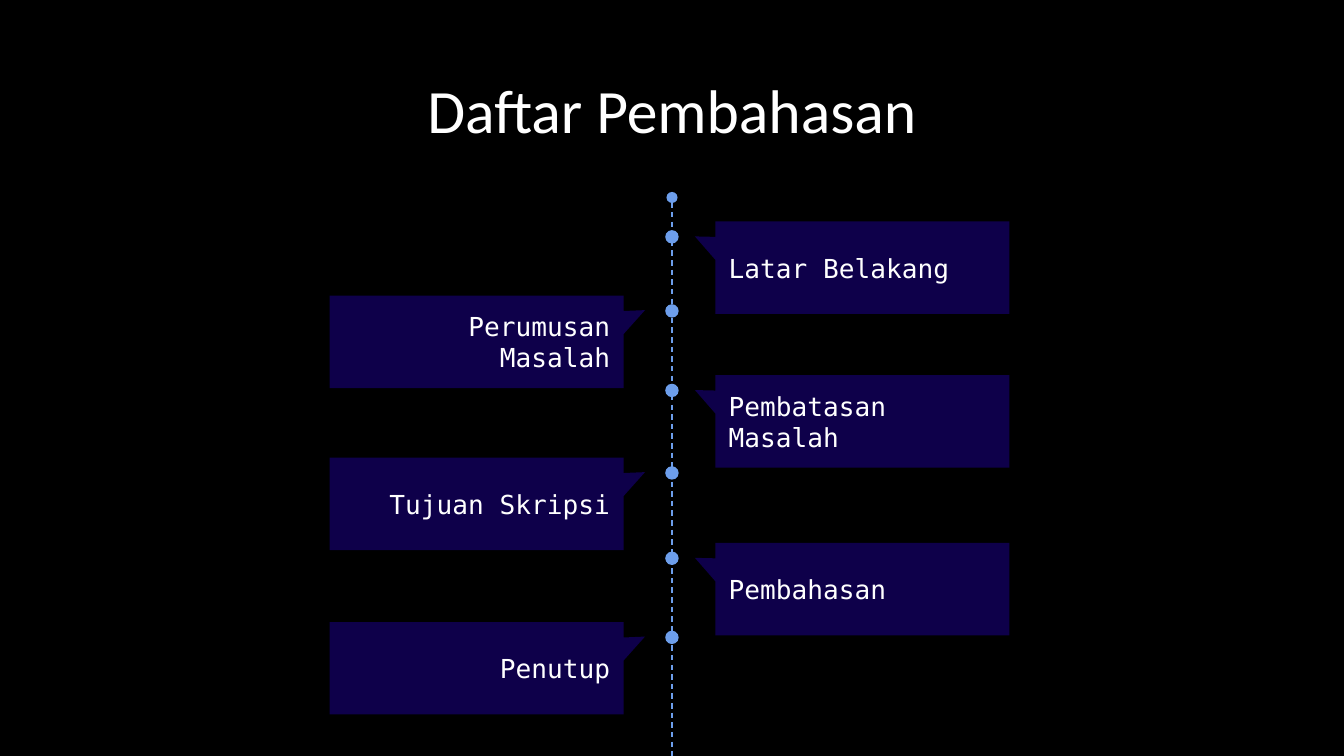
from dataclasses import dataclass

from lxml import etree
from pptx import Presentation
from pptx.dml.color import RGBColor
from pptx.enum.dml import MSO_LINE
from pptx.enum.shapes import MSO_CONNECTOR, MSO_SHAPE
from pptx.enum.text import MSO_ANCHOR, PP_ALIGN
from pptx.oxml.ns import qn
from pptx.util import Pt

DASH = MSO_LINE.DASH
STRAIGHT = MSO_CONNECTOR.STRAIGHT
CALLOUT, OVAL = MSO_SHAPE.RECTANGULAR_CALLOUT, MSO_SHAPE.OVAL
MIDDLE = MSO_ANCHOR.MIDDLE
LEFT, CENTER, RIGHT = PP_ALIGN.LEFT, PP_ALIGN.CENTER, PP_ALIGN.RIGHT


@dataclass(frozen=True)
class Theme:
    background: RGBColor = RGBColor(0x00, 0x00, 0x00)
    text: RGBColor = RGBColor(0xFF, 0xFF, 0xFF)
    accent: RGBColor = RGBColor(0x6D, 0x9E, 0xEB)
    card: RGBColor = RGBColor(0x0E, 0x00, 0x4A)
    title_font: str = "Calibri"
    body_font: str = "DejaVu Sans Mono"
    title_size: float = 33
    body_size: float = 14
    line_width: float = 0.75
    inset: float = 7.2


THEME = Theme()
SLIDE_W, SLIDE_H = 720, 405
TITLE_BOX = (49.7, 21.6, 620.6, 78.5)
TIMELINE_BOX = (176.6, 105.8, 364.2, 299.2)
CARD_W, CARD_H = 157.5, 49.5
DOT_SIZE, DOT_DROP = 7.2, 8.2
TOPICS = [
    ("Latar Belakang", 12.9),
    ("Perumusan Masalah", 52.6),
    ("Pembatasan Masalah", 95.2),
    ("Tujuan Skripsi", 139.4),
    ("Pembahasan", 185.1),
    ("Penutup", 227.5),
]
SIDES = [
    {"align": LEFT, "adjustments": (-0.57, -0.338)},
    {"align": RIGHT, "adjustments": (0.573, -0.343)},
]


def set_all(target, values):
    for name, value in values.items():
        setattr(target, name, value)


def write_text(sp, text, font, size, align, spacing=None):
    tf = sp.text_frame
    inset = Pt(THEME.inset)
    set_all(tf, {
        "word_wrap": True, "vertical_anchor": MIDDLE,
        "margin_left": inset, "margin_right": inset,
        "margin_top": inset, "margin_bottom": inset,
    })
    p = tf.paragraphs[0]
    set_all(p, {"alignment": align, "line_spacing": spacing})
    r = p.add_run()
    r.text = text
    set_all(r.font, {"name": font, "size": Pt(size)})
    r.font.color.rgb = THEME.text


def add_filled(s, kind, box, color):
    sp = s.shapes.add_shape(kind, *map(Pt, box))
    sp.shadow.inherit = False
    sp.fill.solid()
    sp.fill.fore_color.rgb = color
    sp.line.fill.background()
    return sp


def add_title(s, box):
    sp = s.shapes.add_textbox(*map(Pt, box))
    write_text(sp, "Daftar Pembahasan", THEME.title_font, THEME.title_size,
               CENTER, 0.9)


def add_axis(s, x, top, bottom):
    cx = s.shapes.add_connector(STRAIGHT, Pt(x), Pt(top), Pt(x), Pt(bottom))
    set_all(cx.line, {"width": Pt(THEME.line_width), "dash_style": DASH})
    cx.line.color.rgb = THEME.accent
    ln = cx.line._get_or_add_ln()
    etree.SubElement(ln, qn("a:headEnd"), type="oval")
    etree.SubElement(cx._element.spPr, qn("a:effectLst"))


def add_topic(s, box, axis_x, text, side):
    sp = add_filled(s, CALLOUT, box, THEME.card)
    for i, value in enumerate(side["adjustments"]):
        sp.adjustments[i] = value
    write_text(sp, text, THEME.body_font, THEME.body_size, side["align"])
    dot_box = (axis_x - DOT_SIZE / 2, box[1] + DOT_DROP - DOT_SIZE / 2,
               DOT_SIZE, DOT_SIZE)
    add_filled(s, OVAL, dot_box, THEME.accent)


def add_timeline(s, box):
    left, top, width, height = box
    axis_x = SLIDE_W / 2
    add_axis(s, axis_x, top, top + height)
    lefts = (left + width - CARD_W, left)
    for i, (text, drop) in enumerate(TOPICS):
        card_box = (lefts[i % 2], top + drop, CARD_W, CARD_H)
        add_topic(s, card_box, axis_x, text, SIDES[i % 2])


def main():
    prs = Presentation()
    set_all(prs, {"slide_width": Pt(SLIDE_W), "slide_height": Pt(SLIDE_H)})
    s = prs.slides.add_slide(prs.slide_layouts[6])
    s.background.fill.solid()
    s.background.fill.fore_color.rgb = THEME.background
    add_title(s, TITLE_BOX)
    add_timeline(s, TIMELINE_BOX)
    prs.save("out.pptx")


if __name__ == "__main__":
    main()
